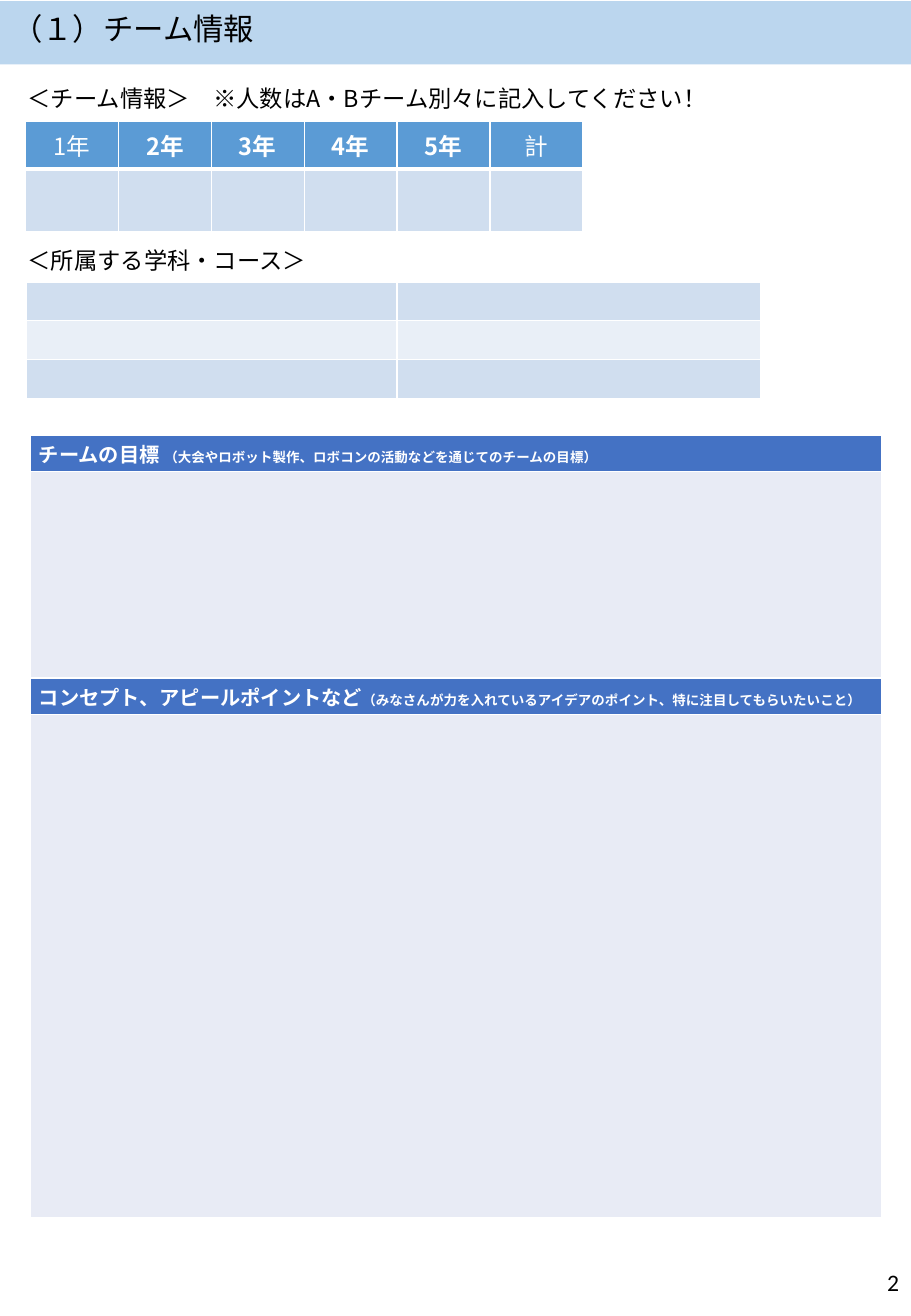
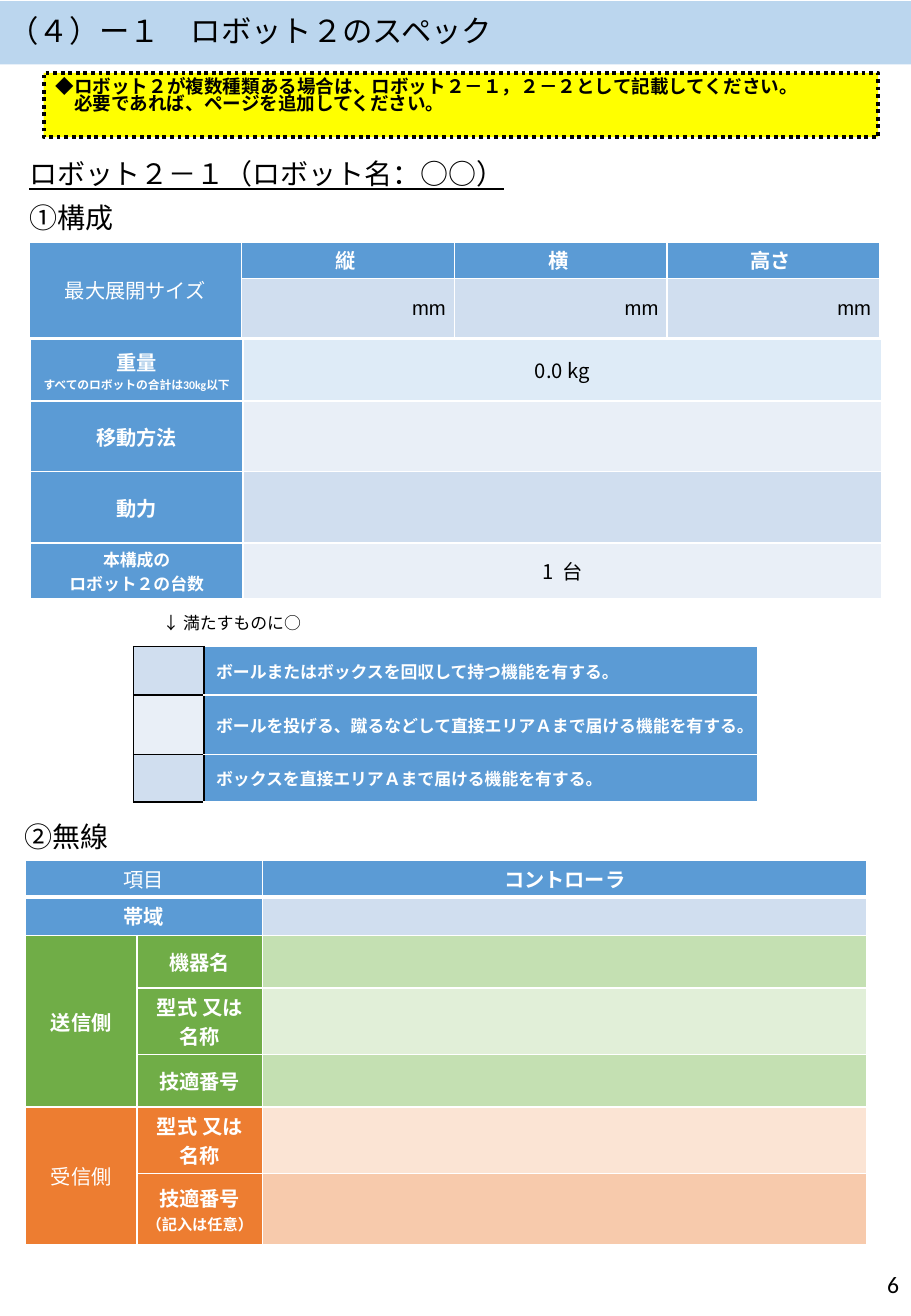
from dataclasses import dataclass
from lxml.etree import SubElement
from pptx import Presentation
from pptx.dml.color import RGBColor
from pptx.enum.dml import MSO_LINE
from pptx.enum.shapes import MSO_SHAPE
from pptx.enum.text import MSO_ANCHOR, PP_ALIGN
from pptx.oxml.ns import qn
from pptx.util import Inches, Pt

NOTO = "Noto Sans CJK JP"
WHITE, BLACK, BAND, YELLOW = "FFFFFF", "000000", "BBD6EE", "FFFF00"
BLUE, PALE, MIST, ICE = "5B9BD5", "D0DEEF", "E9EFF7", "DEEBF7"
NAVY, HAZE = "4472C4", "E8EBF5"
GREEN, LEAF, MINT = "70AD47", "C4E0B2", "E1EFD8"
RUST, PEACH, CREAM = "ED7D31", "F7CAAC", "FBE4D4"
LEFT, MID, RIGHT = PP_ALIGN.LEFT, PP_ALIGN.CENTER, PP_ALIGN.RIGHT
WIDE, TIGHT = (0.1, 0.05), (0.07, 0.03)
THIN = dict.fromkeys("LRTB", (WHITE, 1))
HEAD = THIN | {"B": (WHITE, 3)}
DARK = dict.fromkeys("LRTB", (BLACK, 1))
SIDE = THIN | {"L": (BLACK, 1)}


@dataclass
class Run:
    text: str
    size: float = 12
    hue: str = WHITE
    bold: bool = True
    face: str = NOTO
    under: bool = False


@dataclass
class Cell:
    hue: str
    lines: tuple = ()
    align: PP_ALIGN = MID
    span: tuple = (1, 1)
    edge: dict = None


def color(code):
    return RGBColor.from_string(code)


def label(hue, text, **more):
    return Cell(hue, [[Run(text)]], **more)


def plain(hue, text, **more):
    return Cell(hue, [[Run(text, bold=False)]], **more)


def write(frame, lines, align=LEFT, space=None):
    for i, runs in enumerate(lines):
        para = frame.add_paragraph() if i else frame.paragraphs[0]
        para.alignment = align
        if space:
            para.line_spacing = space
        for item in runs:
            run = para.add_run()
            run.text = item.text
            font = run.font
            font.size, font.bold = Pt(item.size), item.bold
            font.name, font.underline = item.face, item.under
            font.color.rgb = color(item.hue)
            east = SubElement(font._element, qn("a:ea"))
            east.set("typeface", NOTO)


def inset(frame, pad):
    frame.word_wrap = True
    frame.margin_left = frame.margin_right = Inches(pad[0])
    frame.margin_top = frame.margin_bottom = Inches(pad[1])


def place(slide, box, lines, align=LEFT, pad=TIGHT, space=0.9, anchor=MSO_ANCHOR.MIDDLE):
    frame = slide.shapes.add_textbox(*map(Inches, box)).text_frame
    inset(frame, pad)
    frame.vertical_anchor = anchor
    write(frame, lines, align, space)


def border(cell, edge):
    props = cell._tc.get_or_add_tcPr()
    for side, (hue, width) in edge.items():
        line = SubElement(props, qn("a:ln" + side), w=str(Pt(width)))
        fill = SubElement(line, qn("a:solidFill"))
        SubElement(fill, qn("a:srgbClr"), val=hue)


def grid(slide, left, top, cols, rows, cells, pad=TIGHT, edge=THIN):
    box = map(Inches, (left, top, sum(cols), sum(rows)))
    table = slide.shapes.add_table(len(rows), len(cols), *box).table
    table.first_row = table.horz_banding = False
    for col, width in zip(table.columns, cols):
        col.width = Inches(width)
    for row, height in zip(table.rows, rows):
        row.height = Inches(height)
    for r, items in enumerate(cells):
        for c, item in enumerate(items):
            cell = table.cell(r, c)
            cell.margin_left = cell.margin_right = Inches(pad[0])
            cell.margin_top = cell.margin_bottom = Inches(pad[1])
            cell.vertical_anchor = MSO_ANCHOR.MIDDLE
            if item is None or not item.lines:
                SubElement(cell.text_frame.paragraphs[0]._p, qn("a:endParaRPr"), sz="1000")
            if item is None:
                continue
            border(cell, item.edge or edge)
            cell.fill.solid()
            cell.fill.fore_color.rgb = color(item.hue)
            write(cell.text_frame, item.lines, item.align)
            if item.span != (1, 1):
                cell.merge(table.cell(r + item.span[0] - 1, c + item.span[1] - 1))


def stripe(slide, layout):
    band = slide.shapes.add_shape(MSO_SHAPE.RECTANGLE, *map(Inches, (0, 0.01, 7.5, 0.52)))
    band.shadow.inherit = False
    band.fill.solid()
    band.fill.fore_color.rgb = color(BAND)
    band.line.fill.background()
    layout.shapes._spTree.insert(2, band._element)


def start(deck, text, box, pad, page, foot):
    layout = deck.slide_layouts[5]
    slide = deck.slides.add_slide(layout)
    if len(deck.slides) == 1:
        stripe(slide, layout)
    title = slide.shapes.title
    title.left, title.top, title.width, title.height = map(Inches, box)
    inset(title.text_frame, pad)
    title.text_frame.vertical_anchor = MSO_ANCHOR.MIDDLE
    write(title.text_frame, [[Run(text, 18, BLACK, False)]], LEFT, 0.9)
    place(slide, (5.81, foot, 1.69, 0.58), [[Run(page, 14, BLACK, False, "Calibri")]],
          RIGHT, WIDE, 1)
    return slide


def years(slide, left, top):
    names = ["1年", "2年", "3年", "4年", "5年", "計"]
    heads = [Cell(BLUE, [[Run(name, 14, bold=0 < i < 5)]], edge=HEAD)
             for i, name in enumerate(names)]
    grid(slide, left, top, [0.765] * 6, [0.39, 0.52], [heads, [Cell(PALE)] * 6], WIDE)


def goals(slide, left, top):
    def topic(name, hint):
        return [Cell(NAVY, [[Run(name), Run(hint, 8)]], LEFT)]
    blank = [Cell(HAZE)]
    grid(slide, left, top, [7.01], [0.3, 1.7, 0.3, 4.14], [
        topic("チームの目標 ", "（大会やロボット製作、ロボコンの活動などを通じてのチームの目標）"),
        blank,
        topic("コンセプト、アピールポイントなど",
              "（みなさんが力を入れているアイデアのポイント、特に注目してもらいたいこと）"),
        blank])


def team(deck):
    slide = start(deck, "（１）チーム情報", (0, 0.07, 2.57, 0.36), WIDE, "2", 10.26)
    years(slide, 0.21, 1)
    for top, text in ((0.64, "＜チーム情報＞　※人数はA・Bチーム別々に記入してください！"),
                      (1.98, "＜所属する学科・コース＞")):
        place(slide, (0.13, top, 6.18, 0.36), [[Run(text, 13.8, BLACK, False)]], pad=WIDE)
    grid(slide, 0.22, 2.32, [3.05, 2.99], [0.32] * 3,
         [[Cell(hue)] * 2 for hue in (PALE, MIST, PALE)])
    goals(slide, 0.25, 3.58)


def notice(slide, box):
    note = slide.shapes.add_shape(MSO_SHAPE.RECTANGLE, *map(Inches, box))
    note.shadow.inherit = False
    note.fill.solid()
    note.fill.fore_color.rgb = color(YELLOW)
    note.line.color.rgb = color(BLACK)
    note.line.width = Pt(2.25)
    note.line.dash_style = MSO_LINE.ROUND_DOT
    inset(note.text_frame, WIDE)
    note.text_frame.vertical_anchor = MSO_ANCHOR.TOP
    lines = ["◆ロボット２が複数種類ある場合は、ロボット２－１，２－２として記載してください。",
             "　必要であれば、ページを追加してください。"]
    write(note.text_frame, [[Run(line, 11, BLACK)] for line in lines], LEFT, 0.8)


def extent(slide, left, top):
    heads = [Cell(BLUE, [[Run(name, face="Arial")]]) for name in ("縦 ", "横 ", "高さ ")]
    unit = Cell(PALE, [[Run("mm", 12, BLACK, False, "Arial")]], RIGHT)
    grid(slide, left, top, [1.75] * 4, [0.3, 0.49],
         [[plain(BLUE, "最大展開サイズ", span=(2, 1))] + heads, [None] + [unit] * 3])


def build(slide, left, top):
    weight = [[Run("重量", face="Calibri")],
              [Run("すべてのロボットの合計は30kg以下", 7, face="Calibri")]]
    count = [[Run("本構成の", 10)], [Run("ロボット２の台数", 10)]]
    grid(slide, left, top, [1.75, 5.26], [0.51, 0.58, 0.59, 0.46], [
        [Cell(BLUE, weight), Cell(ICE, [[Run("0.0 kg", 12, BLACK, False)]])],
        [label(BLUE, "移動方法"), Cell(MIST)],
        [label(BLUE, "動力"), Cell(PALE)],
        [Cell(BLUE, count), Cell(MIST, [[Run("1  台", 12, BLACK, False)]])]])


def checks(slide, left, top):
    skills = [(PALE, "ボールまたはボックスを回収して持つ機能を有する。"),
              (MIST, "ボールを投げる、蹴るなどして直接エリアＡまで届ける機能を有する。"),
              (PALE, "ボックスを直接エリアＡまで届ける機能を有する。")]
    grid(slide, left, top, [0.58, 4.56], [0.4, 0.49, 0.39],
         [[Cell(hue, edge=DARK), Cell(BLUE, [[Run(text, 10)]], LEFT, edge=SIDE)]
          for hue, text in skills], WIDE)


def radio(slide, left, top):
    model = "型式 又は 名称"
    permit = [[Run("技適番号")], [Run("（記入は任意）", 9)]]
    grid(slide, left, top, [0.92, 1.03, 4.98], [0.3, 0.32, 0.43, 0.55, 0.43, 0.55, 0.58], [
        [plain(BLUE, "項目", span=(1, 2), edge=HEAD), None,
         label(BLUE, "コントローラ", edge=HEAD)],
        [label(BLUE, "帯域", span=(1, 2)), None, Cell(PALE)],
        [label(GREEN, "送信側", span=(3, 1)), label(GREEN, "機器名"), Cell(LEAF)],
        [None, label(GREEN, model), Cell(MINT)],
        [None, label(GREEN, "技適番号"), Cell(LEAF)],
        [plain(RUST, "受信側", span=(2, 1)), label(RUST, model), Cell(CREAM)],
        [None, Cell(RUST, permit), Cell(PEACH)]])


def robot(deck):
    slide = start(deck, "（４）ー１　ロボット２のスペック", (0, 0, 6.24, 0.53), TIGHT, "6", 10.28)
    notice(slide, (0.36, 0.6, 6.87, 0.53))
    place(slide, (0.17, 1.18, 7.01, 0.53),
          [[Run("ロボット２－１（ロボット名：○○）", 16.6, BLACK, False, under=True)]])
    place(slide, (0.17, 1.54, 7.01, 0.53),
          [[Run("①", 16.6, BLACK, False, "Calibri"), Run("構成", 16.6, BLACK, False)]])
    extent(slide, 0.24, 1.99)
    build(slide, 0.25, 2.79)
    place(slide, (1.24, 4.99, 2.17, 0.27), [[Run("↓ 満たすものに○", 10, BLACK, False)]],
          pad=WIDE, space=1, anchor=MSO_ANCHOR.TOP)
    checks(slide, 1.1, 5.32)
    place(slide, (0.13, 6.72, 7.01, 0.36), [[Run("②無線", 16.6, BLACK, False)]])
    radio(slide, 0.21, 7.08)


def main():
    deck = Presentation()
    deck.slide_width, deck.slide_height = Inches(7.5), Inches(10.83)
    team(deck)
    robot(deck)
    deck.save("out.pptx")


if __name__ == "__main__":
    main()
